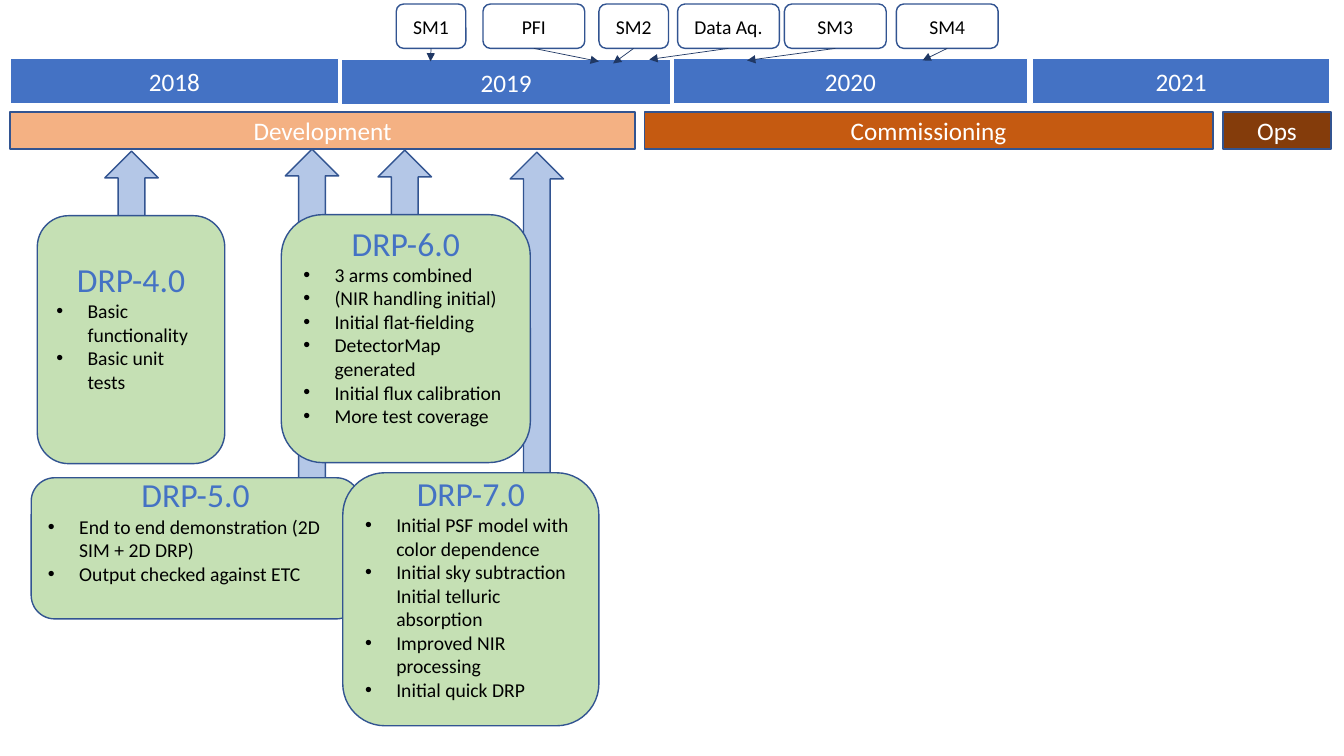
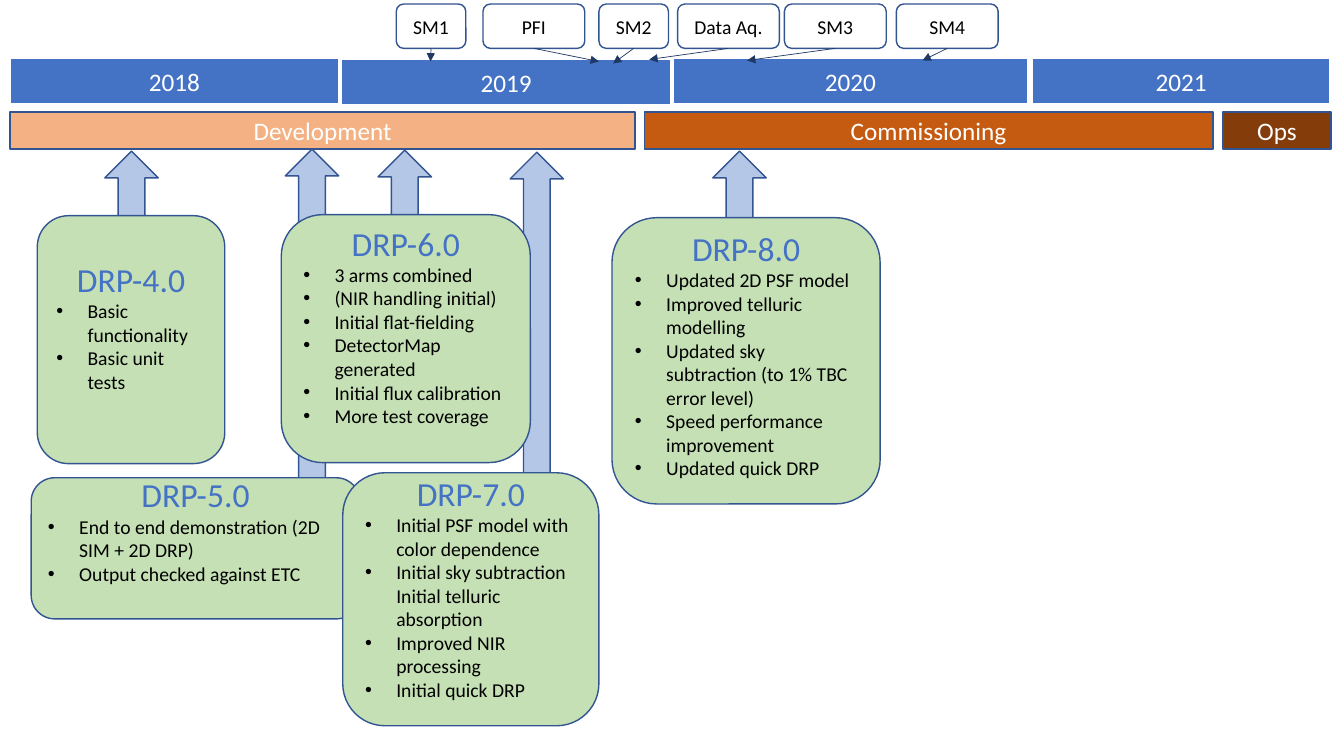
from dataclasses import dataclass

from pptx import Presentation
from pptx.dml.color import RGBColor
from pptx.enum.shapes import MSO_CONNECTOR, MSO_SHAPE
from pptx.enum.text import MSO_ANCHOR, PP_ALIGN
from pptx.oxml.ns import qn
from pptx.util import Inches, Pt


@dataclass(frozen=True)
class Theme:
    font: str = "Calibri"
    blue: str = "4472C4"
    outline: str = "325491"
    pointer: str = "203864"
    arrow: str = "B4C7E7"
    card: str = "C5E0B4"
    white: str = "FFFFFF"
    black: str = "000000"
    title_size: int = 24
    bar_size: int = 18
    body_size: int = 14


T = Theme()
INSET, INDENT = 0.05, 0.31
CALLOUT_TOP, CALLOUT_H = 0.04, 0.44
YEAR_H = 0.45
PHASE_TOP, PHASE_H = 1.11, 0.37
ARROW_W = 0.53

# year, left, top, width
YEARS = [
    ("2018", 0.1, 0.58, 3.26),
    ("2019", 3.39, 0.59, 3.26),
    ("2020", 6.68, 0.58, 3.51),
    ("2021", 10.24, 0.58, 2.95),
]
# phase, left, width, fill
PHASES = [
    ("Development", 0.1, 6.2, "F4B183"),
    ("Commissioning", 6.39, 5.64, "C55A11"),
    ("Ops", 12.13, 1.07, "843C0B"),
]
# milestone, left, width, point on the year bar
MILESTONES = [
    ("SM1", 3.93, 0.69, (4.27, 0.61)),
    ("PFI", 4.79, 1.01, (5.94, 0.61)),
    ("SM2", 5.94, 0.69, (6.08, 0.63)),
    ("Data Aq.", 6.72, 1.01, (6.44, 0.59)),
    ("SM3", 7.78, 1.01, (7.41, 0.6)),
    ("SM4", 8.89, 1.01, (9.15, 0.6)),
]
# box: left, top, width, height; arrow: left, top, height
# lift: extra room kept free below the text
RELEASES = {
    "DRP-5.0": dict(
        box=(0.31, 4.74, 3.26, 1.4), arrow=(2.83, 1.48, 3.36), lift=0.37,
        items=["End to end demonstration (2D SIM + 2D DRP)",
               "Output checked against ETC"]),
    "DRP-4.0": dict(
        box=(0.37, 2.14, 1.86, 2.46), arrow=(1.04, 1.5, 1.07), lift=0.27,
        items=["Basic functionality", "Basic unit tests"]),
    "DRP-8.0": dict(
        box=(6.07, 2.16, 2.66, 2.84), arrow=(7.07, 1.5, 1.07), lift=0.14,
        items=["Updated 2D PSF model",
               "Improved telluric modelling",
               "Updated sky subtraction (to 1% TBC error level)",
               "Speed performance improvement",
               "Updated quick DRP"]),
    "DRP-7.0": dict(
        box=(3.4, 4.69, 2.54, 2.51), arrow=(5.06, 1.51, 3.23), lift=0.24,
        items=["Initial PSF model with color dependence",
               "Initial sky subtraction Initial telluric absorption",
               "Improved NIR processing",
               "Initial quick DRP"]),
    "DRP-6.0": dict(
        box=(2.79, 2.13, 2.47, 2.46), arrow=(3.75, 1.49, 1.07), lift=0.27,
        items=["3 arms combined",
               "(NIR handling initial)",
               "Initial flat-fielding",
               "DetectorMap generated",
               "Initial flux calibration",
               "More test coverage"]),
}
FIRST_RELEASES = ["DRP-5.0", "DRP-4.0", "DRP-7.0", "DRP-6.0"]
SLIDES = [FIRST_RELEASES, list(RELEASES)]


def rgb(value):
    return RGBColor.from_string(value)


def add_box(slide, kind, box, fill=None, line=T.outline):
    sp = slide.shapes.add_shape(kind, *map(Inches, box))
    sp.shadow.inherit = False
    if fill:
        sp.fill.solid()
        sp.fill.fore_color.rgb = rgb(fill)
    else:
        sp.fill.background()
    sp.line.color.rgb = rgb(line)
    sp.line.width = Pt(1)
    tf = sp.text_frame
    tf.word_wrap = True
    tf.vertical_anchor = MSO_ANCHOR.MIDDLE
    return sp


def write(p, text, size, color, align=PP_ALIGN.CENTER):
    p.alignment = align
    r = p.add_run()
    r.text = text
    r.font.name = T.font
    r.font.size = Pt(size)
    r.font.color.rgb = rgb(color)


def add_bullet(p):
    pPr = p._p.get_or_add_pPr()
    pPr.set("marL", str(Inches(INDENT)))
    pPr.set("indent", str(-Inches(INDENT)))
    font = pPr.makeelement(qn("a:buFont"), {"typeface": "Arial"})
    char = pPr.makeelement(qn("a:buChar"), {"char": "•"})
    pPr.extend([font, char])


def add_bar(slide, text, box, fill, line=T.outline):
    sp = add_box(slide, MSO_SHAPE.RECTANGLE, box, fill, line)
    write(sp.text_frame.paragraphs[0], text, T.bar_size, T.white)


def add_milestone(slide, text, left, width, target):
    """Draw a callout and a thin arrow from its foot to the year bar."""
    sp = add_box(slide, MSO_SHAPE.ROUNDED_RECTANGLE,
                 (left, CALLOUT_TOP, width, CALLOUT_H))
    write(sp.text_frame.paragraphs[0], text, T.body_size, T.black)
    start = (left + width / 2, CALLOUT_TOP + CALLOUT_H)
    cx = slide.shapes.add_connector(MSO_CONNECTOR.STRAIGHT,
                                    *map(Inches, start + target))
    cx.line.color.rgb = rgb(T.pointer)
    cx.line.width = Pt(0.5)
    ln = cx.line._get_or_add_ln()
    ln.append(ln.makeelement(qn("a:tailEnd"), {"type": "triangle"}))
    spPr = cx._element.spPr
    spPr.append(spPr.makeelement(qn("a:effectLst"), {}))


def add_release(slide, name, box, arrow, lift, items):
    """Draw a release card over the block arrow that dates it."""
    left, top, height = arrow
    add_box(slide, MSO_SHAPE.UP_ARROW, (left, top, ARROW_W, height), T.arrow)
    sp = add_box(slide, MSO_SHAPE.ROUNDED_RECTANGLE, box, T.card)
    tf = sp.text_frame
    tf.margin_bottom = Inches(INSET + lift)
    write(tf.paragraphs[0], name, T.title_size, T.blue)
    for item in items:
        p = tf.add_paragraph()
        write(p, item, T.body_size, T.black, PP_ALIGN.LEFT)
        add_bullet(p)


def add_timeline(slide):
    for year, left, top, width in YEARS:
        add_bar(slide, year, (left, top, width, YEAR_H), T.blue, T.white)
    for phase, left, width, fill in PHASES:
        add_bar(slide, phase, (left, PHASE_TOP, width, PHASE_H), fill)
    for milestone in MILESTONES:
        add_milestone(slide, *milestone)


def main():
    prs = Presentation()
    prs.slide_width, prs.slide_height = Inches(13.33), Inches(7.5)
    for names in SLIDES:
        slide = prs.slides.add_slide(prs.slide_layouts[6])
        add_timeline(slide)
        for name in names:
            add_release(slide, name, **RELEASES[name])
    prs.save("out.pptx")


if __name__ == "__main__":
    main()
